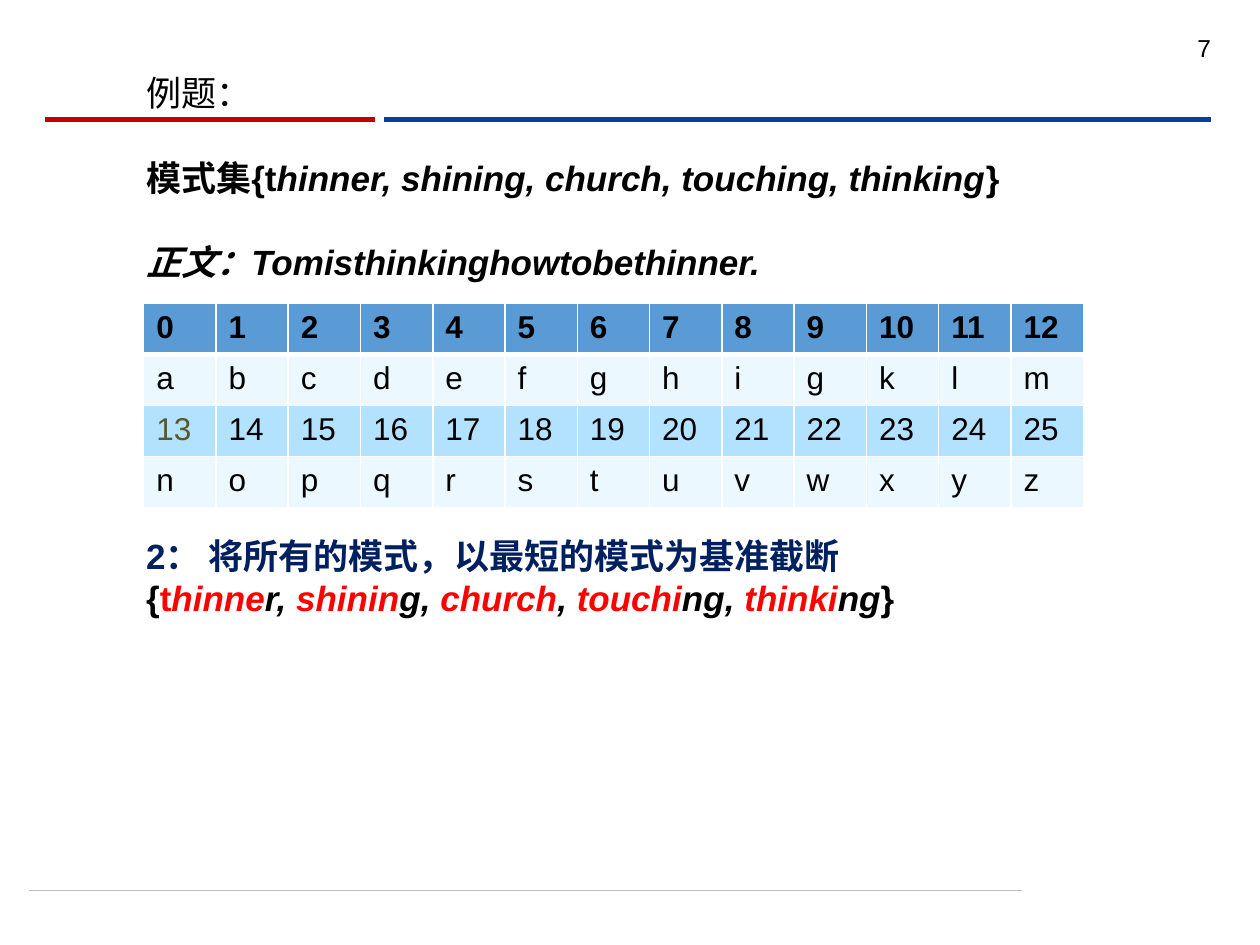
"""Build the example slide: pattern set, letter code table and truncated patterns."""
from dataclasses import dataclass

from lxml.etree import SubElement
from pptx import Presentation
from pptx.dml.color import RGBColor as Color
from pptx.enum.shapes import MSO_CONNECTOR as Connector
from pptx.enum.text import MSO_ANCHOR as Anchor, MSO_AUTO_SIZE as AutoSize, PP_ALIGN as Align
from pptx.oxml.ns import qn
from pptx.util import Inches, Pt


@dataclass(frozen=True)
class Theme:
    """Colours, font and type sizes of the slide."""
    font: str = "Arial"
    text_size: int = 20
    table_size: int = 18
    number_size: int = 14
    line_pitch: int = 24
    black: str = "000000"
    white: str = "FFFFFF"
    red: str = "FF0000"
    navy: str = "002060"
    olive: str = "59582D"
    rule_red: str = "C00000"
    rule_blue: str = "004299"
    rule_grey: str = "BFBFBF"
    header: str = "5B9BD5"
    light_band: str = "ECF8FF"
    dark_band: str = "B2E2FF"


class SlideBuilder:
    """Draw elements on one slide over a grid of 100 columns and 75 rows."""

    def __init__(self, deck, theme):
        """Add a title and content slide to the deck."""
        self.theme = theme
        self.column = deck.slide_width / 100
        self.row = deck.slide_height / 75
        self.page = deck.slides.add_slide(deck.slide_layouts[1])

    def area(self, left, top, width, height):
        """Turn grid units into slide lengths."""
        return (round(left * self.column), round(top * self.row),
                round(width * self.column), round(height * self.row))

    def style(self, font, size, color=None, bold=False):
        """Apply the theme font with a size, colour and weight."""
        font.name, font.size, font.bold = self.theme.font, Pt(size), bold
        font.color.rgb = Color.from_string(color or self.theme.black)

    def place(self, box, area):
        """Move a text shape and prepare its frame."""
        box.left, box.top, box.width, box.height = self.area(*area)
        frame = box.text_frame
        frame.word_wrap = True
        frame.auto_size = AutoSize.NONE
        frame.vertical_anchor = Anchor.TOP
        return frame

    def rule(self, start, end, row, color, width):
        """Draw a horizontal line between two columns."""
        left, top, length, _ = self.area(start, row, end - start, 0)
        line = self.page.shapes.add_connector(
            Connector.STRAIGHT, left, top, left + length, top)
        line.line.color.rgb = Color.from_string(color)
        line.line.width = Pt(width)
        SubElement(line._element.spPr, qn("a:effectLst"))

    def number(self, text, area):
        """Write the slide number."""
        box = self.page.shapes.add_textbox(*self.area(*area))
        para = self.place(box, area).paragraphs[0]
        para.text, para.alignment = text, Align.RIGHT
        self.style(para.font, self.theme.number_size)

    def title(self, text, area):
        """Write the slide title."""
        para = self.place(self.page.shapes.title, area).paragraphs[0]
        para.text, para.alignment = text, Align.LEFT
        para.line_spacing = Pt(self.theme.line_pitch)
        self.style(para.font, self.theme.text_size)

    def body(self, paragraphs, area):
        """Write paragraphs of (lines before, [(text, colour, italic)])."""
        frame = self.place(self.page.placeholders[1], area)
        for index, (lines_before, spans) in enumerate(paragraphs):
            para = frame.add_paragraph() if index else frame.paragraphs[0]
            para.line_spacing = Pt(self.theme.line_pitch)
            para.space_before = Pt(lines_before * self.theme.line_pitch)
            self.style(para.font, self.theme.text_size, bold=True)
            properties = para._p.get_or_add_pPr()
            properties.set("marL", "0")
            properties.set("indent", "0")
            properties.insert_element_before(
                properties.makeelement(qn("a:buNone")), "a:tabLst", "a:defRPr", "a:extLst")
            for text, color, italic in spans:
                span = para.add_run()
                span.text, span.font.italic = text, italic
                span.font.color.rgb = Color.from_string(color)

    def border(self, cell, side, width):
        """Give one side of a cell a white line."""
        line = SubElement(cell._tc.get_or_add_tcPr(), qn(f"a:ln{side}"), w=str(Pt(width)))
        fill = SubElement(line, qn("a:solidFill"))
        SubElement(fill, qn("a:srgbClr"), val=self.theme.white)

    def table(self, rows, fills, accents, area):
        """Draw a table with a bold header row and accented cells."""
        grid = self.page.shapes.add_table(len(rows), len(rows[0]), *self.area(*area)).table
        for r, (values, fill) in enumerate(zip(rows, fills)):
            for c, value in enumerate(values):
                cell = grid.cell(r, c)
                for side in "LRTB":
                    thick = (r, side) in ((0, "B"), (1, "T"))
                    self.border(cell, side, 3 if thick else 1)
                cell.fill.solid()
                cell.fill.fore_color.rgb = Color.from_string(fill)
                para = cell.text_frame.paragraphs[0]
                para.text = str(value)
                self.style(para.font, self.theme.table_size, accents.get(value), r == 0)


def main():
    """Build and save the slide."""
    theme = Theme()
    deck = Presentation()
    deck.slide_width, deck.slide_height = Inches(10), Inches(7.5)
    slide = SlideBuilder(deck, theme)

    slide.rule(2.3, 81.1, 70.7, theme.rule_grey, 0.5)
    slide.rule(30.5, 96.1, 9.5, theme.rule_blue, 3)
    slide.rule(3.6, 29.8, 9.5, theme.rule_red, 3)
    slide.number("7", (91, 2.1, 6.1, 5.2))
    slide.title("例题：", (10.6, 5.2, 75, 4.3))

    black, red = theme.black, theme.red
    slide.body([
        (0, [("模式集{t", black, False),
             ("hinner, shining, church, touching, thinking", black, True),
             ("}", black, False)]),
        (1, [("正文：Tomisthinkinghowtobethinner.", black, True)]),
        (6, [("2： 将所有的模式，以最短的模式为基准截断", theme.navy, False)]),
        (0, [("{", black, False), ("t", red, False), ("hinne", red, True),
             ("r,", black, True), (" shinin", red, True), ("g, ", black, True),
             ("church", red, True), (", ", black, True), ("touchi", red, True),
             ("ng, ", black, True), ("thinki", red, True), ("ng", black, True),
             ("}", black, False)]),
    ], (10.6, 11.9, 75, 65 - 11.9))

    slide.table(
        [range(13), "abcdefghigklm", range(13, 26), "nopqrstuvwxyz"],
        [theme.header, theme.light_band, theme.dark_band, theme.light_band],
        {13: theme.olive}, (11.4, 24.1, 74.6, 16.2))

    deck.save("out.pptx")


if __name__ == "__main__":
    main()
